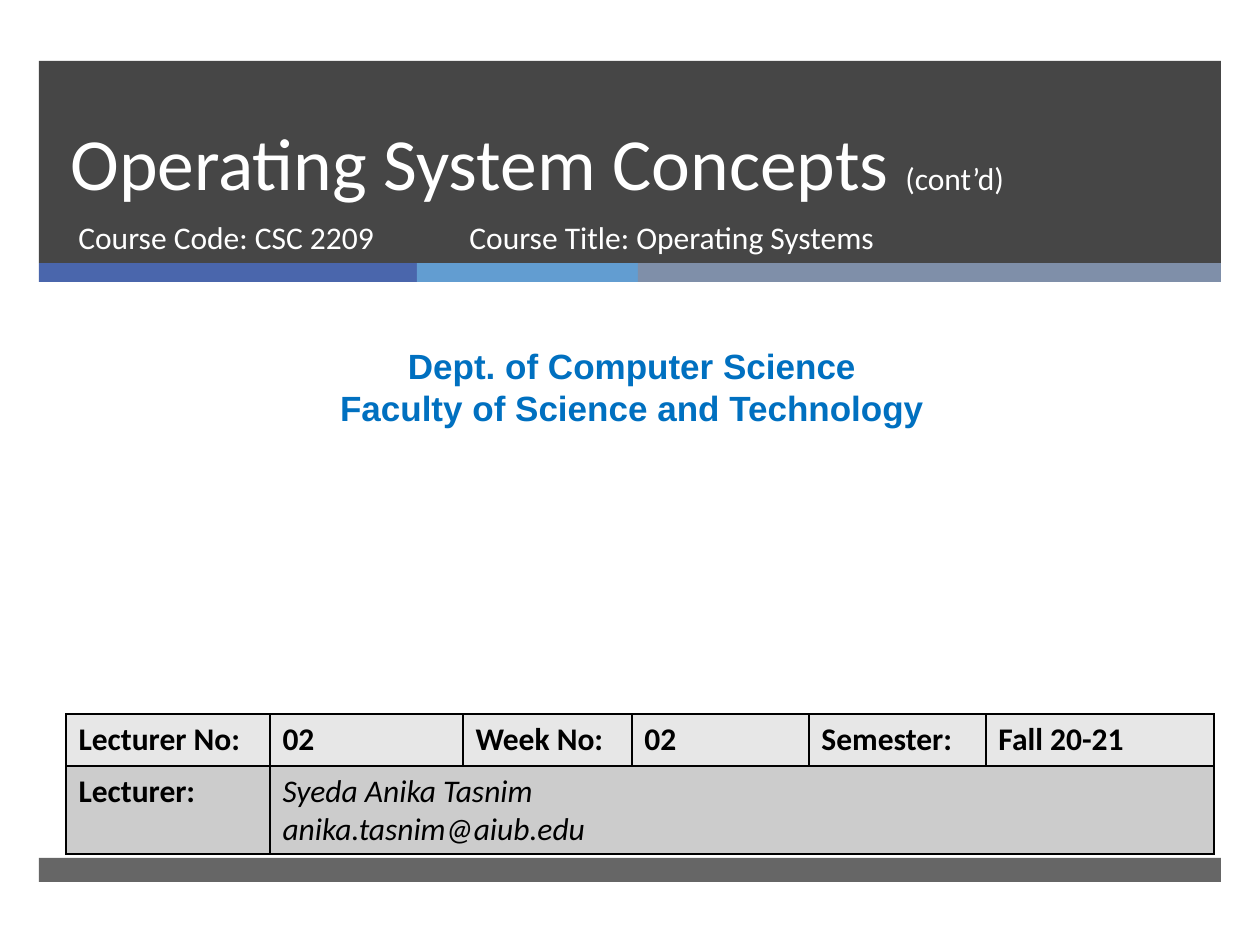
from lxml import etree
from pptx import Presentation
from pptx.dml.color import RGBColor
from pptx.enum.shapes import MSO_SHAPE
from pptx.enum.text import MSO_ANCHOR, PP_ALIGN
from pptx.oxml.ns import qn
from pptx.util import Emu, Pt

RECT = MSO_SHAPE.RECTANGLE
TOP, BOTTOM = MSO_ANCHOR.TOP, MSO_ANCHOR.BOTTOM
LEFT, CENTER = PP_ALIGN.LEFT, PP_ALIGN.CENTER
PX_PER_INCH = 126
BLANK = 6


def px(n):
    return Emu(round(n * 914400 / PX_PER_INCH))


def rgb(hex_color):
    return RGBColor.from_string(hex_color)


class Deck:
    """Holds the presentation style and the current slide."""

    styles = {
        "title": {"name": "Calibri", "size": Pt(42), "color": "FFFFFF"},
        "course": {"name": "Calibri", "size": Pt(18), "color": "FFFFFF"},
        "dept": {"name": "Arial", "size": Pt(20), "bold": True, "color": "0070C0"},
        "label": {"name": "Calibri", "size": Pt(18), "bold": True, "color": "000000"},
        "lecturer": {"name": "Calibri", "size": Pt(18), "bold": False,
                     "italic": True, "color": "000000"},
    }

    def __init__(self, width, height):
        self.prs = Presentation()
        self.prs.slide_width, self.prs.slide_height = px(width), px(height)
        self.s = self.prs.slides.add_slide(self.prs.slide_layouts[BLANK])

    def add_run(self, p, text, style):
        r = p.add_run()
        r.text = text
        for key, value in self.styles[style].items():
            if key == "color":
                r.font.color.rgb = rgb(value)
            else:
                setattr(r.font, key, value)

    def set_text(self, tf, paragraphs, align=LEFT, spacing=None):
        """Fill a text frame; each paragraph is a list of (text, style) runs."""
        for i, runs in enumerate(paragraphs):
            p = tf.add_paragraph() if i else tf.paragraphs[0]
            p.alignment, p.line_spacing = align, spacing
            for text, style in runs:
                self.add_run(p, text, style)

    def bar(self, x, y, w, h, color, opacity=100):
        sp = self.s.shapes.add_shape(RECT, px(x), px(y), px(w), px(h))
        sp.shadow.inherit = False
        sp.fill.solid()
        sp.fill.fore_color.rgb = rgb(color)
        sp.line.fill.background()
        if opacity < 100:
            clr = sp._element.spPr.find(".//" + qn("a:srgbClr"))
            etree.SubElement(clr, qn("a:alpha"), val=str(opacity * 1000))

    def text(self, x, y, w, h, paragraphs, anchor=TOP, align=LEFT, spacing=None):
        tf = self.s.shapes.add_textbox(px(x), px(y), px(w), px(h)).text_frame
        tf.word_wrap, tf.vertical_anchor = True, anchor
        self.set_text(tf, paragraphs, align, spacing)

    def border(self, cell, color="000000"):
        """Draw a 1 pt line on all four sides; lines come before the fill."""
        tc_pr = cell._tc.get_or_add_tcPr()
        for i, side in enumerate(("lnL", "lnR", "lnT", "lnB")):
            ln = etree.Element(qn("a:" + side), w=str(Pt(1)))
            fill = etree.SubElement(ln, qn("a:solidFill"))
            etree.SubElement(fill, qn("a:srgbClr"), val=color)
            tc_pr.insert(i, ln)

    def table(self, x, y, widths, heights, rows, fills):
        """Build a table; a row shorter than the grid has its last cell merged."""
        table = self.s.shapes.add_table(
            len(heights), len(widths), px(x), px(y),
            px(sum(widths)), px(sum(heights))).table
        for col, w in zip(table.columns, widths):
            col.width = px(w)
        for i, (h, cells, color) in enumerate(zip(heights, rows, fills)):
            table.rows[i].height = px(h)
            for j in range(len(widths)):
                cell = table.cell(i, j)
                cell.fill.solid()
                cell.fill.fore_color.rgb = rgb(color)
                self.border(cell)
                if j < len(cells):
                    self.set_text(cell.text_frame, cells[j])
            if len(cells) < len(widths):
                table.cell(i, len(cells) - 1).merge(table.cell(i, len(widths) - 1))


def main():
    deck = Deck(1260, 945)

    left, width = 39, 1182
    deck.bar(left, 61, width, 202, "262626", 85)
    x = left
    for w, color in ((378, "4A66AC"), (221, "629DD1"), (583, "7F8FA9")):
        deck.bar(x, 263, w, 19, color)
        x += w
    deck.bar(left, 858, width, 24, "262626", 70)

    deck.text(58, 61, 1076, 150,
              [[("Operating System Concepts ", "title"), ("(cont’d)", "course")]],
              anchor=BOTTOM, spacing=Pt(46))
    deck.text(66, 212, 384, 67, [[("Course Code: CSC 2209", "course")]])
    deck.text(10, 338, 1244, 97,
              [[("Dept. of Computer Science", "dept")],
               [("Faculty of Science and Technology", "dept")]], align=CENTER)

    labels = ("Lecturer No:", "02", "Week No:", "02", "Semester:", "Fall 20-21")
    lecturer = ("Syeda Anika Tasnim", "anika.tasnim@aiub.edu")
    rows = [[[[(t, "label")]] for t in labels],
            [[[("Lecturer:", "label")]], [[(t, "lecturer")] for t in lecturer]]]
    deck.table(66, 714, (204, 193, 169, 177, 177, 228), (52, 88),
               rows, ("E7E7E7", "CCCCCC"))

    deck.text(457, 212, 573, 67, [[("Course Title: Operating Systems", "course")]])
    deck.prs.save("out.pptx")


if __name__ == "__main__":
    main()
